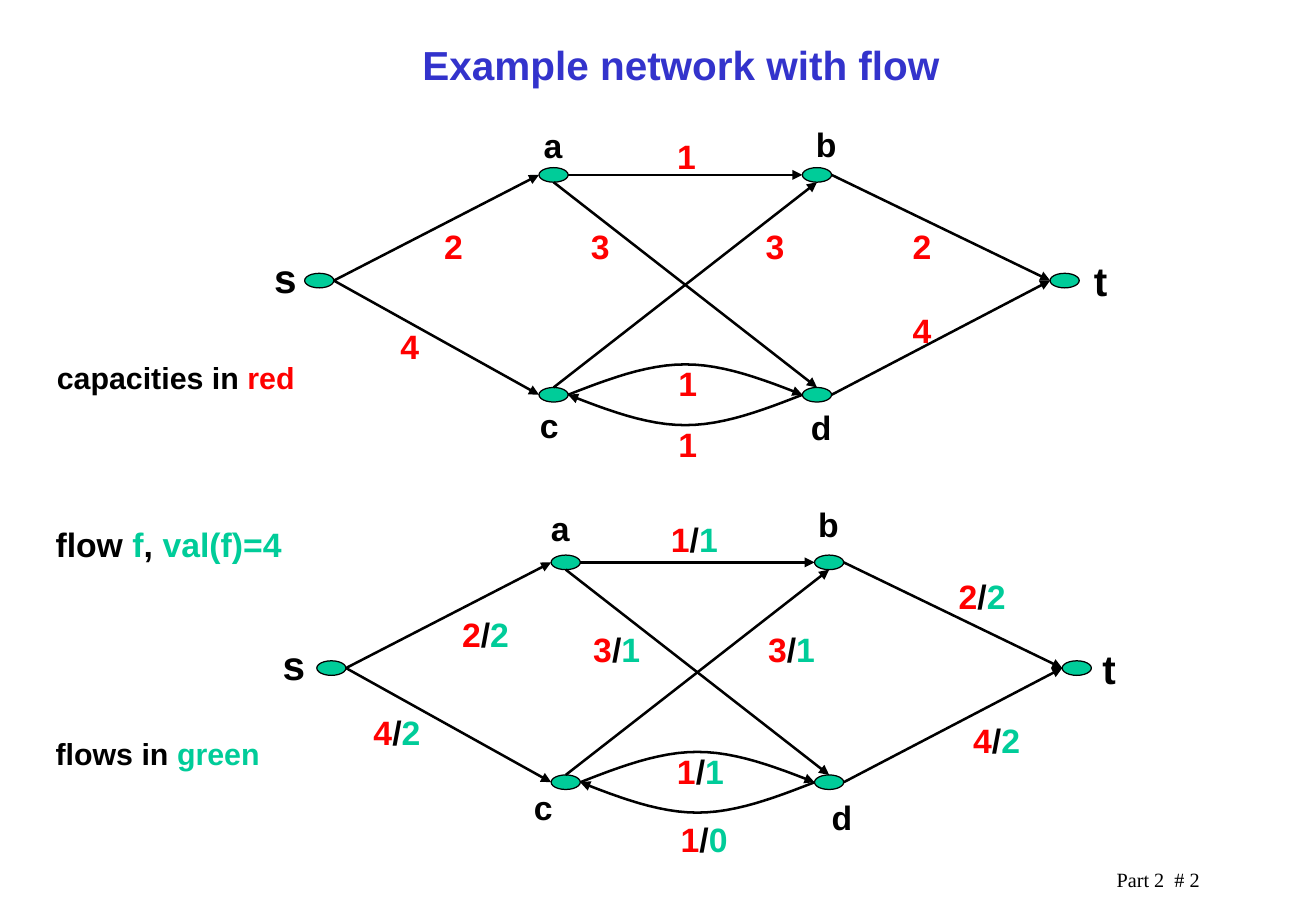
from lxml import etree
from pptx import Presentation, util as u
from pptx.dml.color import RGBColor
from pptx.enum import shapes, text
from pptx.oxml.ns import qn

COLORS = {"black": "000000", "red": "FF0000", "green": "00CC99", "blue": "3333CC"}
FLOW_COLORS = ("red", "black", "green")

# Grid that both networks share, in inches; node name -> (column, row)
COLUMNS = (2.63, 4.56, 6.73, 8.77)
ROWS = (1.44, 2.31, 3.25)
NODES = {"s": (0, 1), "a": (1, 0), "b": (2, 0), "c": (1, 2), "d": (2, 2), "t": (3, 1)}
NODE_W, NODE_H = 0.24, 0.12
SIDES = {"left": (-NODE_W / 2, 0), "right": (NODE_W / 2, 0),
         "top": (0, -NODE_H / 2), "bottom": (0, NODE_H / 2)}
EDGES = [("a", "bottom", "d", "top"), ("c", "top", "b", "bottom"),
         ("s", "right", "a", "left"), ("s", "right", "c", "left"),
         ("d", "right", "t", "left"), ("b", "right", "t", "left"),
         ("a", "right", "b", "left")]
BEND, STEPS = 0.25, 24
NAME_STYLE = {"s": (0.38, 24), "t": (0.31, 24), "a": (0.35, 20),
              "b": (0.37, 20), "c": (0.35, 20), "d": (0.37, 20)}

NETWORKS = [
    {"shift": (0, 0), "label_w": 0.35,
     "names": {"s": (2.16, 2.03), "t": (8.91, 2.06), "a": (4.38, 0.98),
               "b": (6.62, 0.97), "c": (4.35, 3.28), "d": (6.58, 3.3)},
     "labels": [("2", 3.56, 1.81), ("4", 3.2, 2.63), ("3", 4.77, 1.81),
                ("3", 6.21, 1.81), ("4", 7.42, 2.5), ("2", 7.42, 1.81),
                ("1", 5.48, 1.07), ("1", 5.49, 2.94), ("1", 5.49, 3.44)]},
    {"shift": (0.1, 3.19), "label_w": 0.58,
     "names": {"s": (2.23, 5.22), "t": (8.98, 5.25), "a": (4.44, 4.13),
               "b": (6.64, 4.1), "c": (4.3, 6.43), "d": (6.75, 6.51)},
     "labels": [("2/2", 3.71, 5), ("4/2", 2.98, 5.81), ("3/1", 4.79, 5.13),
                ("3/1", 6.23, 5.13), ("4/2", 7.92, 5.88), ("2/2", 7.8, 4.69),
                ("1/1", 5.43, 4.22), ("1/1", 5.48, 6.13), ("1/0", 5.51, 6.69)]},
]

deck = Presentation()
deck.slide_width, deck.slide_height = u.Inches(10.84), u.Inches(7.5)
slide = deck.slides.add_slide(deck.slide_layouts[5])


def write(runs, left, top, width, size=20, bold=True, font="Arial",
          align="CENTER", box=None):
    """Write (text, colour) runs on one line, in the given box or a new text box."""
    box = box or slide.shapes.add_textbox(0, 0, 0, 0)
    box.left, box.top, box.width = u.Inches(left), u.Inches(top), u.Inches(width)
    box.height = u.Inches(0.1 + size / 60)
    frame = box.text_frame
    frame.word_wrap = False
    frame.auto_size = text.MSO_AUTO_SIZE.NONE
    frame.vertical_anchor = text.MSO_ANCHOR.TOP
    line = frame.paragraphs[0]
    line.alignment = text.PP_ALIGN[align]
    for words, color in runs:
        run = line.add_run()
        run.text = words
        run.font.name, run.font.size, run.font.bold = font, u.Pt(size), bold
        run.font.color.rgb = RGBColor.from_string(COLORS[color])


def style_arrow(arrow):
    arrow.line.color.rgb = RGBColor.from_string(COLORS["black"])
    arrow.line.width = u.Pt(1.5)
    etree.SubElement(arrow.line._get_or_add_ln(), qn("a:tailEnd"), type="triangle")


write([("Example network with flow", "blue")], 3.11, 0.28, 5, size=24,
      box=slide.shapes.title)

for network in NETWORKS:
    dx, dy = network["shift"]
    centers = {name: (COLUMNS[col] + dx, ROWS[row] + dy)
               for name, (col, row) in NODES.items()}

    for x, y in centers.values():
        node = slide.shapes.add_shape(
            shapes.MSO_SHAPE.OVAL, u.Inches(x - NODE_W / 2), u.Inches(y - NODE_H / 2),
            u.Inches(NODE_W), u.Inches(NODE_H))
        node.shadow.inherit = False
        node.fill.solid()
        node.fill.fore_color.rgb = RGBColor.from_string(COLORS["green"])
        node.line.color.rgb = RGBColor.from_string(COLORS["black"])
        node.line.width = u.Pt(0.75)

    for start, start_side, end, end_side in EDGES:
        ends = [u.Inches(center + offset)
                for name, side in ((start, start_side), (end, end_side))
                for center, offset in zip(centers[name], SIDES[side])]
        edge = slide.shapes.add_connector(shapes.MSO_CONNECTOR.STRAIGHT, *ends)
        style_arrow(edge)
        etree.SubElement(edge._element.spPr, qn("a:effectLst"))

    # Arcs between c and d: the upper one runs right, the lower one left
    for start, end, way in (("c", "d", 1), ("d", "c", -1)):
        x0, y0 = centers[start]
        x0 += way * NODE_W / 2
        span = centers[end][0] - way * NODE_W / 2 - x0
        points = []
        for step in range(STEPS + 1):
            rise = 1 - abs(2 * step / STEPS - 1)
            points.append((u.Inches(x0 + span * step / STEPS),
                           u.Inches(y0 - way * BEND * (1.5 * rise - 0.5 * rise ** 3))))
        builder = slide.shapes.build_freeform(*points[0])
        builder.add_line_segments(points[1:], close=False)
        arc = builder.convert_to_shape()
        arc.shadow.inherit = False
        arc.fill.background()
        style_arrow(arc)

    for name, (left, top) in network["names"].items():
        width, size = NAME_STYLE[name]
        write([(name, "black")], left, top, width, size=size)
    for label, left, top in network["labels"]:
        write(zip(label, FLOW_COLORS), left, top, network["label_w"])

write([("flow ", "black"), ("f", "green"), (", ", "black"), ("val(f)=4", "green")],
      0.36, 4.26, 2.06)
write([("capacities in ", "black"), ("red", "red")], 0.37, 2.91, 2.16, size=18, align="LEFT")
write([("flows in ", "black"), ("green", "green")], 0.36, 6, 1.88, size=18, align="LEFT")
write([("Part 2  # 2", "black")], 9.1, 7.09, 0.9, size=12, bold=False,
      font="Times New Roman", align="LEFT")

deck.save("out.pptx")
